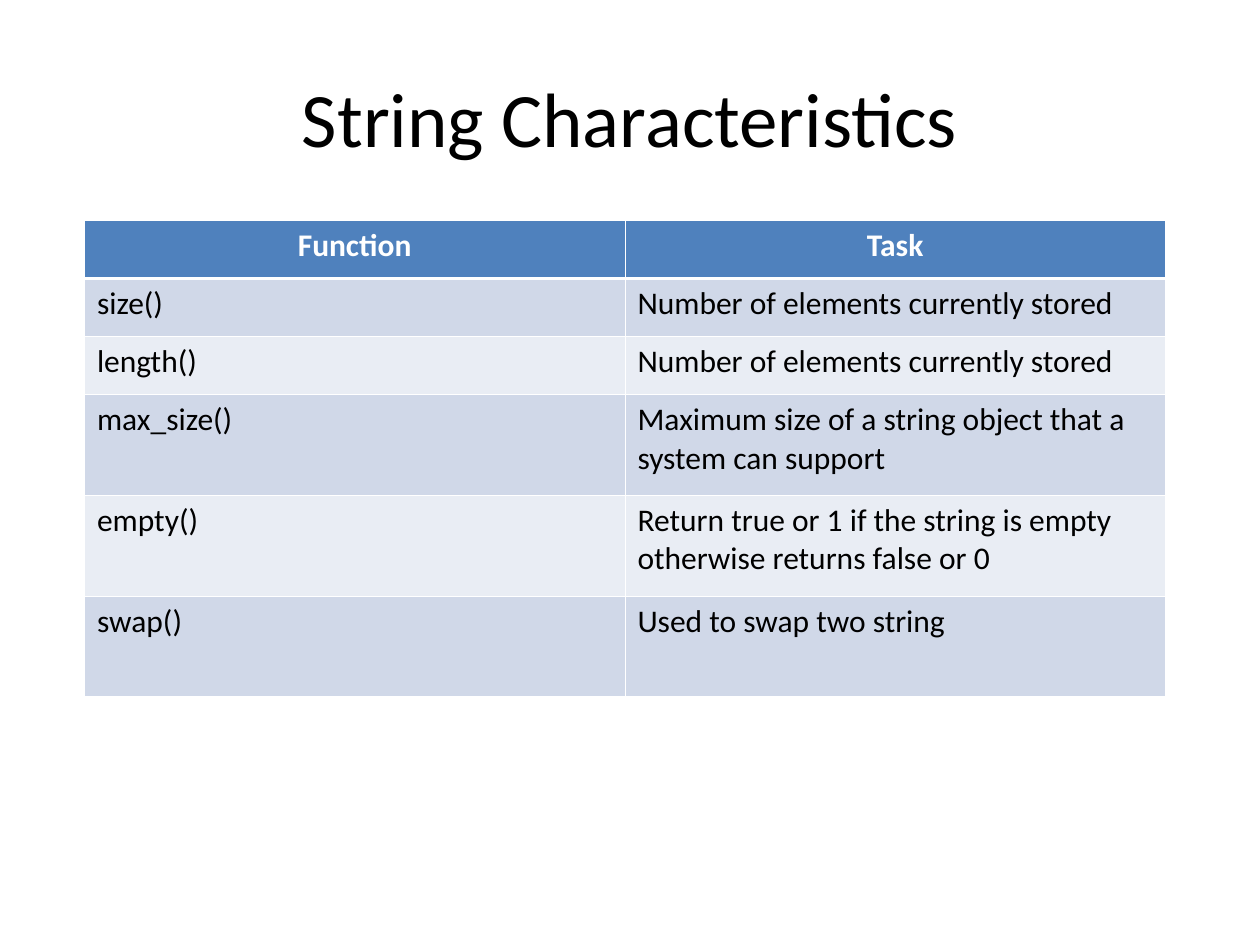
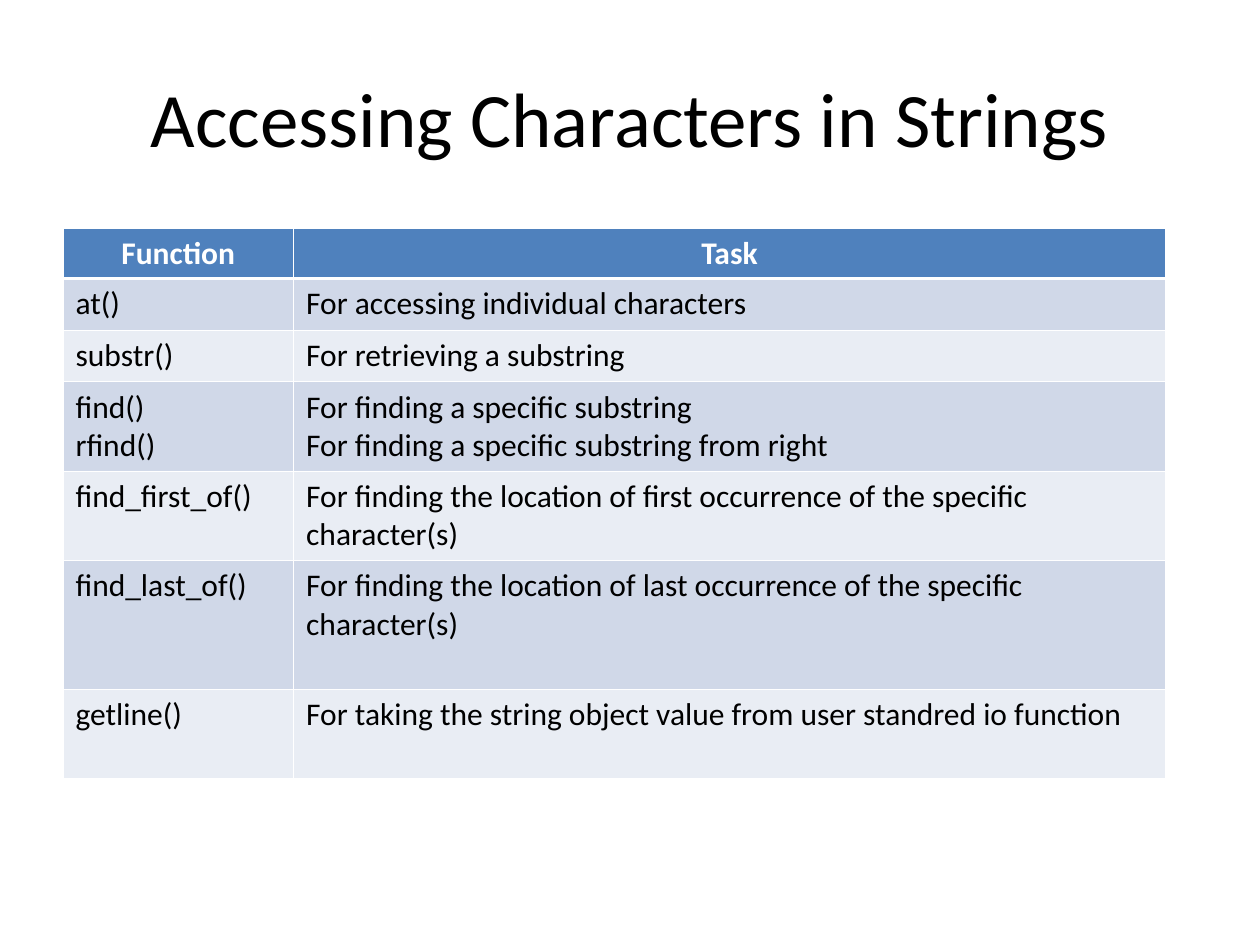
from lxml import etree
from pptx import Presentation
from pptx import util as u
from pptx.dml.color import RGBColor
from pptx.enum import text
from pptx.oxml import ns

FONT = "Calibri"
BLACK = RGBColor(0x00, 0x00, 0x00)
WHITE = RGBColor(0xFF, 0xFF, 0xFF)
HEADER_BLUE = RGBColor(0x4F, 0x81, 0xBD)
BANDS = (RGBColor(0xD0, 0xD8, 0xE8), RGBColor(0xE9, 0xED, 0xF4))
THIN, THICK = 0.45, 1.47

TITLE_BOX = (0.5, 0.3, 9, 1.25)
HEADER = ("Function", "Task")

CHARACTERISTICS = [
    HEADER,
    ("size()", "Number of elements currently stored"),
    ("length()", "Number of elements currently stored"),
    ("max_size()", "Maximum size of a string object that a system can support"),
    ("empty()", "Return true or 1 if the string is empty otherwise returns false or 0"),
    ("swap()", "Used to swap two string"),
]
ACCESS = [
    HEADER,
    ("at()", "For accessing individual characters"),
    ("substr()", "For retrieving a substring"),
    ("find()\nrfind()",
     "For finding a specific substring\nFor finding a specific substring from right"),
    ("find_first_of()",
     "For finding the location of first occurrence of the specific character(s)"),
    ("find_last_of()",
     "For finding the location of last occurrence of the specific character(s)"),
    ("getline()", "For taking the string object value from user standred io function"),
]


def write(frame, content, size, colour, align, bold=False):
    """Put each line of the content in its own paragraph."""
    for index, line in enumerate(content.split("\n")):
        para = frame.add_paragraph() if index else frame.paragraphs[0]
        para.alignment = align
        span = para.add_run()
        span.text = line
        span.font.name = FONT
        span.font.size = u.Pt(size)
        span.font.bold = bold
        span.font.color.rgb = colour


def add_title(page, title, place):
    box = page.shapes.add_textbox(*map(u.Inches, place))
    frame = box.text_frame
    frame.word_wrap = True
    frame.vertical_anchor = text.MSO_ANCHOR.MIDDLE
    write(frame, title, 44, BLACK, text.PP_ALIGN.CENTER)


def set_borders(cell, top, bottom):
    properties = cell._tc.get_or_add_tcPr()
    for side, width in (("L", THIN), ("R", THIN), ("T", top), ("B", bottom)):
        line = etree.SubElement(properties, ns.qn(f"a:ln{side}"), w=str(u.Pt(width)))
        fill = etree.SubElement(line, ns.qn("a:solidFill"))
        etree.SubElement(fill, ns.qn("a:srgbClr"), val=str(WHITE))


def add_function_table(page, left, top, widths, heights, rows):
    frame = page.shapes.add_table(
        len(rows), len(widths), u.Inches(left), u.Inches(top),
        u.Inches(sum(widths)), u.Inches(sum(heights)))
    table = frame.table
    for column, width in zip(table.columns, widths):
        column.width = u.Inches(width)
    for row, height in zip(table.rows, heights):
        row.height = u.Inches(height)

    for number, row in enumerate(rows):
        header = number == 0
        for column, content in enumerate(row):
            cell = table.cell(number, column)
            # The rule under the header is heavier than the others
            set_borders(cell, THICK if number == 1 else THIN, THICK if header else THIN)
            cell.fill.solid()
            cell.fill.fore_color.rgb = HEADER_BLUE if header else BANDS[(number - 1) % 2]
            write(cell.text_frame, content, 18, WHITE if header else BLACK,
                  text.PP_ALIGN.CENTER if header else text.PP_ALIGN.LEFT, header)


def add_table_page(deck, title, *table_parts):
    page = deck.slides.add_slide(deck.slide_layouts[6])
    add_title(page, title, TITLE_BOX)
    add_function_table(page, *table_parts)


def main():
    deck = Presentation()
    deck.slide_width = u.Inches(10)
    deck.slide_height = u.Inches(7.5)
    add_table_page(deck, "String Characteristics", 0.67, 1.75,
                   [4.29] * 2, [0.46] * 3 + [0.8] * 3, CHARACTERISTICS)
    add_table_page(deck, "Accessing Characters in Strings", 0.5, 1.81,
                   [1.83, 6.92], [0.4] + [0.41] * 2 + [0.71] * 2 + [1.02, 0.71], ACCESS)
    deck.save("out.pptx")


if __name__ == "__main__":
    main()
